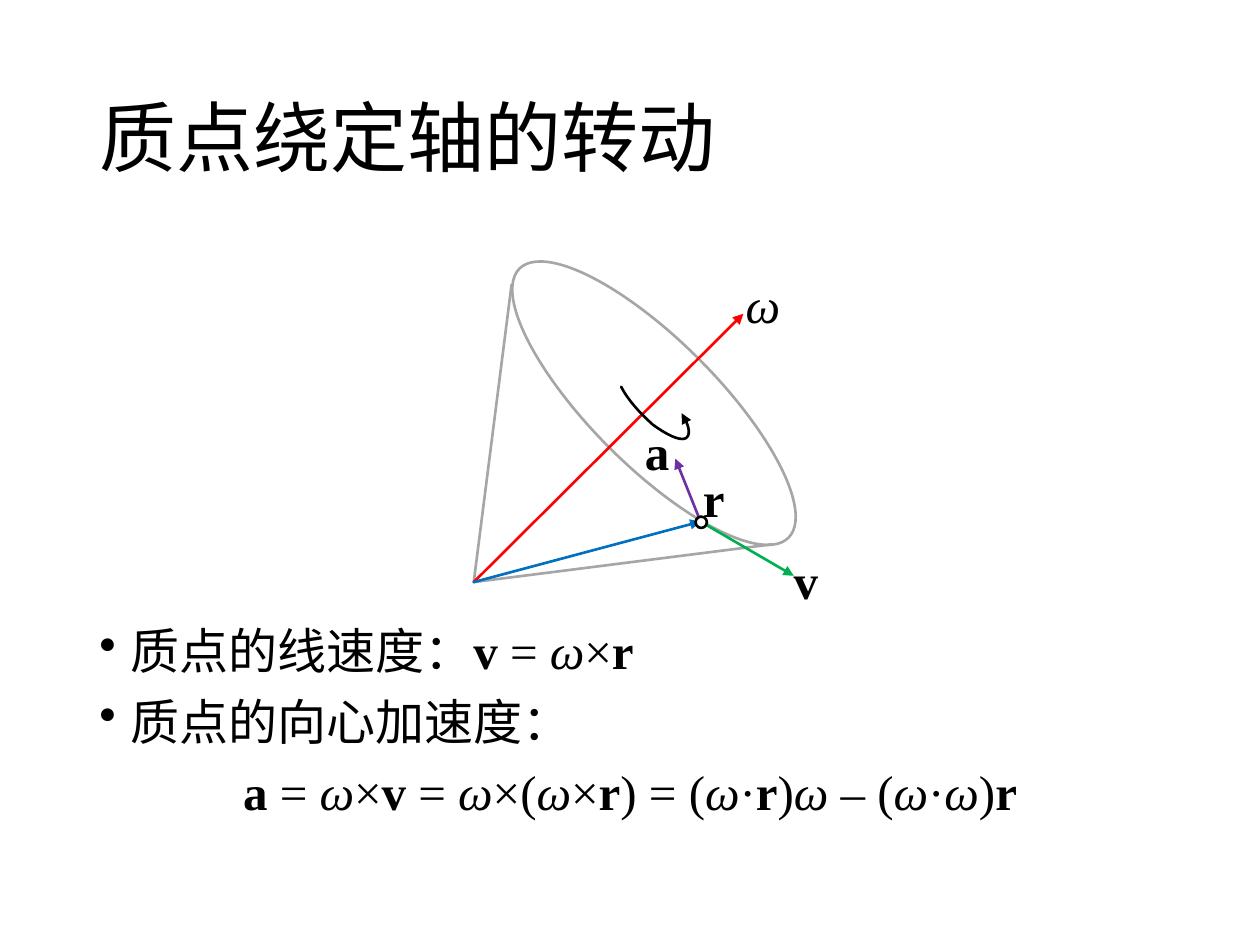
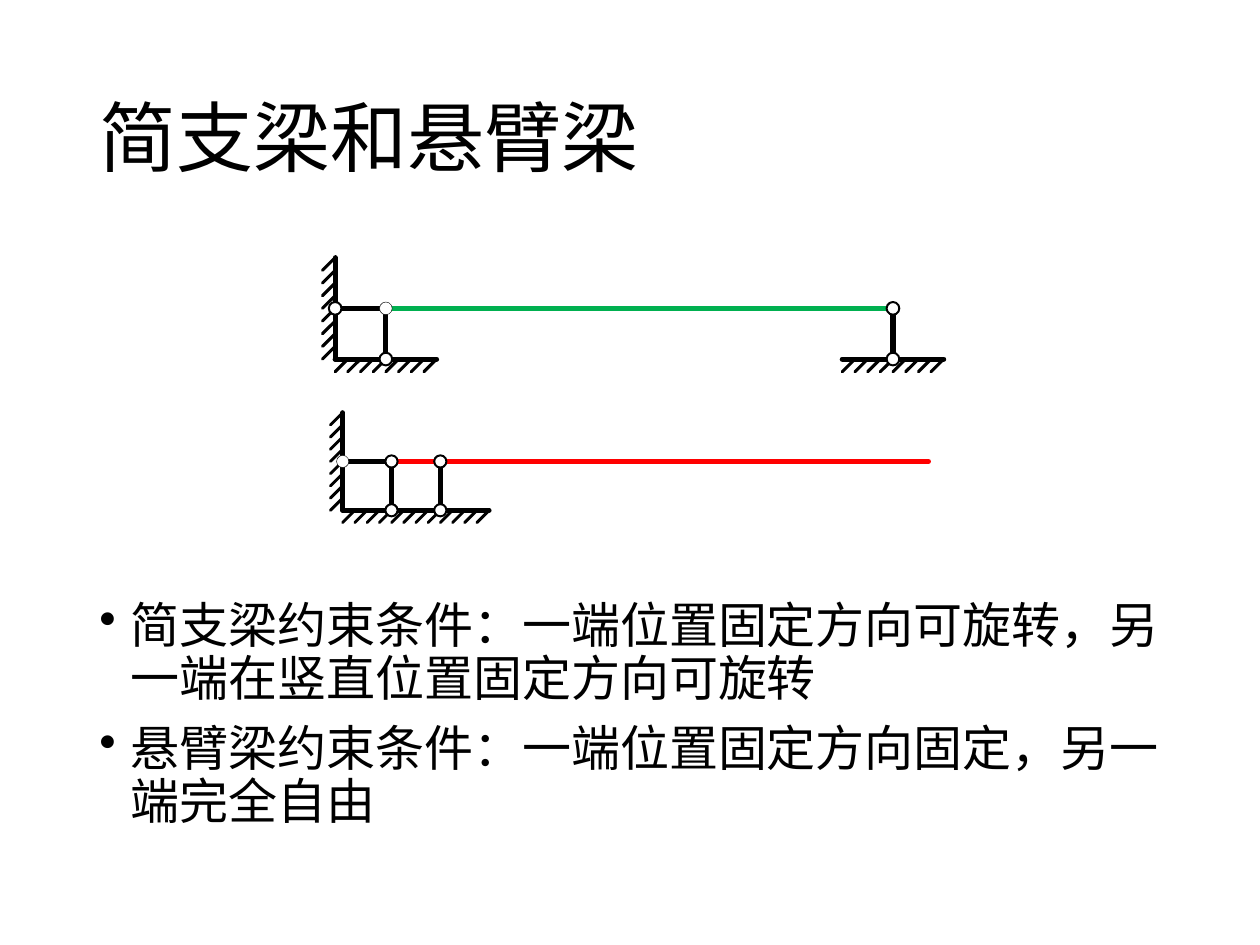
"""Build two mechanics slides: rotation about a fixed axis, and beam supports."""
import itertools

import lxml.etree
import pptx
import pptx.dml.color
import pptx.enum.shapes
import pptx.enum.text
import pptx.oxml.ns
import pptx.util

Inches = pptx.util.Inches
Pt = pptx.util.Pt
qn = pptx.oxml.ns.qn
SHAPES = pptx.enum.shapes.MSO_SHAPE
STRAIGHT = pptx.enum.shapes.MSO_CONNECTOR.STRAIGHT
ALIGN = pptx.enum.text.PP_ALIGN
COLORS = {
    name: pptx.dml.color.RGBColor.from_string(value)
    for name, value in {
        "black": "000000", "white": "FFFFFF", "gray": "A6A6A6", "red": "FF0000",
        "blue": "0070C0", "green": "00B050", "purple": "7030A0",
    }.items()
}
CJK = "Noto Sans CJK SC"
SERIF = "Times New Roman"
VECTORS = "avr"


def write(paragraph, text, size=28, font=SERIF, align=ALIGN.LEFT, bullet=False, spacing=None, before=0):
    """Write text with vectors in bold and omega in italic."""
    if bullet:
        properties = paragraph._p.get_or_add_pPr()
        properties.set("marL", str(Inches(0.25)))
        properties.set("indent", str(-Inches(0.25)))
        lxml.etree.SubElement(properties, qn("a:buChar")).set("char", "•")
    paragraph.alignment = align
    paragraph.line_spacing = spacing
    paragraph.space_before = Pt(before)
    for (bold, italic), letters in itertools.groupby(text, lambda c: (c in VECTORS, c == "ω")):
        run = paragraph.add_run()
        run.text = "".join(letters)
        run.font.size = Pt(size)
        run.font.name = font
        run.font.bold = bold
        run.font.italic = italic
        run.font.color.rgb = COLORS["black"]
        lxml.etree.SubElement(run._r.get_or_add_rPr(), qn("a:ea")).set("typeface", CJK)


def stroke(shape, color, width, arrow=False):
    """Give a shape or connector a round-capped line and no shadow."""
    shape.line.color.rgb = COLORS[color]
    shape.line.width = Pt(width)
    properties = shape._element.spPr
    outline = properties.find(qn("a:ln"))
    outline.set("cap", "rnd")
    if arrow:
        lxml.etree.SubElement(outline, qn("a:tailEnd")).set("type", "triangle")
    lxml.etree.SubElement(properties, qn("a:effectLst"))


deck = pptx.Presentation()
deck.slide_width, deck.slide_height = Inches(10), Inches(7.5)

pages = [
    ("质点绕定轴的转动", 4.93, SERIF, [
        ("质点的线速度：v = ω×r", True),
        ("质点的向心加速度：", True),
        ("a = ω×v = ω×(ω×r) = (ω·r)ω – (ω·ω)r", False),
    ]),
    ("简支梁和悬臂梁", 4.72, CJK, [
        ("简支梁约束条件：一端位置固定方向可旋转，另一端在竖直位置固定方向可旋转", True),
        ("悬臂梁约束条件：一端位置固定方向固定，另一端完全自由", True),
    ]),
]
slides = []
for heading, body_top, body_font, points in pages:
    slide = deck.slides.add_slide(deck.slide_layouts[5])
    slides.append(slide)
    title = slide.shapes.title
    title.left, title.top, title.width, title.height = map(Inches, (0.69, 0.4, 8.62, 1.45))
    title.text_frame.vertical_anchor = pptx.enum.text.MSO_ANCHOR.MIDDLE
    write(title.text_frame.paragraphs[0], heading, size=44, font=CJK, spacing=0.9)
    body = slide.shapes.add_textbox(
        Inches(0.69), Inches(body_top), Inches(8.62), Inches(6.75 - body_top)).text_frame
    body.word_wrap = True
    for index, (point, bulleted) in enumerate(points):
        paragraph = body.add_paragraph() if index else body.paragraphs[0]
        write(paragraph, point, font=body_font, bullet=bulleted, spacing=0.9,
              align=ALIGN.LEFT if bulleted else ALIGN.CENTER, before=10 if index else 0)
rotation, beams = slides

orbit = rotation.shapes.add_shape(SHAPES.OVAL, Inches(3.68), Inches(2.7), Inches(3.02), Inches(1))
orbit.rotation = 45
orbit.fill.background()
stroke(orbit, "gray", 1.5)

apex, mass = (3.76, 4.62), (5.56, 4.14)
for start, end, color, arrow in [
    (apex, (6.13, 4.32), "gray", False),
    (apex, (4.06, 2.26), "gray", False),
    (apex, (5.9, 2.49), "red", True),
    (apex, mass, "blue", True),
    (mass, (6.3, 4.57), "green", True),
    (mass, (5.36, 3.64), "purple", True),
]:
    vector = rotation.shapes.add_connector(STRAIGHT, *map(Inches, start + end))
    stroke(vector, color, 1.5, arrow)

particle = rotation.shapes.add_shape(
    SHAPES.OVAL, Inches(mass[0] - 0.04), Inches(mass[1] - 0.04), Inches(0.09), Inches(0.09))
particle.fill.solid()
particle.fill.fore_color.rgb = COLORS["white"]
stroke(particle, "black", 1.5)

turn_controls = [
    (4.93, 3.07), (4.98, 3.17), (5.08, 3.28), (5.18, 3.37), (5.29, 3.45),
    (5.39, 3.5), (5.44, 3.48), (5.48, 3.46), (5.48, 3.39), (5.41, 3.28),
]
turn_points = []
for first in range(0, 9, 3):
    for t in (step / 8 for step in range(1, 9)):
        weights = ((1 - t) ** 3, 3 * t * (1 - t) ** 2, 3 * t * t * (1 - t), t ** 3)
        turn_points.append(tuple(
            Inches(sum(w * control[axis] for w, control in zip(weights, turn_controls[first:first + 4])))
            for axis in (0, 1)))
turn_path = rotation.shapes.build_freeform(*map(Inches, turn_controls[0]))
turn_path.add_line_segments(turn_points, close=False)
turn = turn_path.convert_to_shape()
turn.fill.background()
stroke(turn, "black", 1.5, arrow=True)

for symbol, left, top, width in [
    ("ω", 5.82, 2.13, 0.48), ("r", 5.48, 3.67, 0.38), ("v", 6.2, 4.32, 0.4), ("a", 5.02, 3.3, 0.4),
]:
    label = rotation.shapes.add_textbox(Inches(left), Inches(top), Inches(width), Inches(0.57))
    label.text_frame.word_wrap = False
    write(label.text_frame.paragraphs[0], symbol)

supports = [
    {"wall": 2.66, "floor": 2.85, "right": 7.49, "widths": (1.75, 2.88),
     "floors": [(0, 8), (40, 48)], "beam": (4, 44, "green"), "posts": [4, 44],
     "pins": [(4, 4), (0, 4), (4, 0), (44, 0), (44, 4)]},
    {"wall": 2.72, "floor": 4.05, "right": 7.37, "widths": (1.63, 2.75),
     "floors": [(0, 12)], "beam": (4, 48, "red"), "posts": [4, 8],
     "pins": [(0, 4), (4, 4), (8, 4), (4, 0), (8, 0)]},
]
for support in supports:
    wall, floor = support["wall"], support["floor"]
    cell = (support["right"] - wall) / 48
    hatch_width, bar_width = support["widths"]
    beam_start, beam_end, beam_color = support["beam"]
    hatches = [(-1, y, 0, y + 1) for y in range(8)]
    hatches += [(x, -1, x + 1, 0) for start, end in support["floors"] for x in range(start, end)]
    bars = [(0, 8, 0, 0)] + [(start, 0, end, 0) for start, end in support["floors"]]
    bars += [(0, 4, beam_start, 4)]
    posts = [(x, 4, x, 0) for x in support["posts"]]
    members = [(line, "black", hatch_width) for line in hatches]
    members += [(line, "black", bar_width) for line in bars]
    members += [((beam_start, 4, beam_end, 4), beam_color, bar_width)]
    members += [(line, "black", bar_width) for line in posts]
    for (x1, y1, x2, y2), color, width in members:
        member = beams.shapes.add_connector(
            STRAIGHT, Inches(wall + x1 * cell), Inches(floor - y1 * cell),
            Inches(wall + x2 * cell), Inches(floor - y2 * cell))
        stroke(member, color, width)
    for index, (x, y) in enumerate(support["pins"]):
        pin = beams.shapes.add_shape(
            SHAPES.OVAL, Inches(wall + (x - 0.5) * cell), Inches(floor - (y + 0.5) * cell),
            Inches(cell), Inches(cell))
        pin.fill.solid()
        pin.fill.fore_color.rgb = COLORS["white"]
        stroke(pin, "black", 1.13 if index else 0.25)

deck.save("out.pptx")
